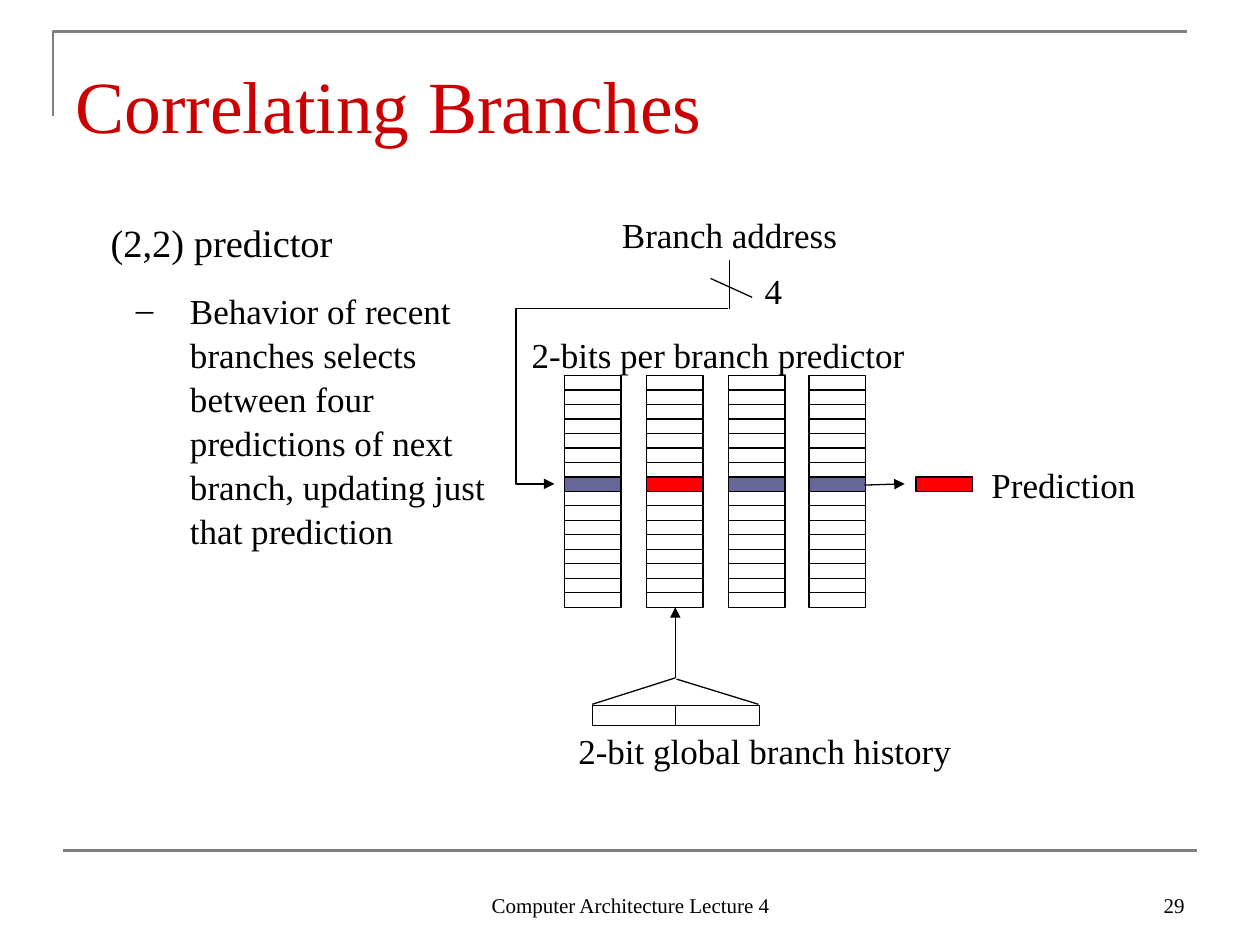
from lxml import etree
from pptx import Presentation
from pptx.dml.color import RGBColor
from pptx.enum import shapes as kinds, text as t
from pptx.oxml.ns import qn
from pptx.util import Inches, Pt

FONT = "Times New Roman"
BLACK, GRAY, RED, BLUE, TITLE_RED = "000000", "808080", "FF0000", "666699", "CC0000"
LEFT, CENTER, RIGHT = t.PP_ALIGN.LEFT, t.PP_ALIGN.CENTER, t.PP_ALIGN.RIGHT
TOP, MIDDLE, BOTTOM = t.MSO_ANCHOR.TOP, t.MSO_ANCHOR.MIDDLE, t.MSO_ANCHOR.BOTTOM

# text, (left, top, width, height), size, alignment, anchor, wrap
LABELS = [
    ("Computer Architecture Lecture 4", (3.42, 6.83, 3.17, 0.5), 12, CENTER, BOTTOM, True),
    ("29", (7.17, 6.83, 2.33, 0.5), 12, RIGHT, BOTTOM, True),
    ("Branch address", (4.64, 1.71, 2.3, 0.31), 20, CENTER, MIDDLE, False),
    ("2-bits per branch predictor", (3.95, 2.65, 3.5, 0.33), 20, CENTER, MIDDLE, False),
    ("Prediction", (7.77, 3.63, 1.48, 0.44), 20, LEFT, TOP, True),
    ("2-bit global branch history", (4.42, 5.78, 3.3, 0.35), 20, CENTER, MIDDLE, False),
    ("4", (5.97, 2.09, 0.37, 0.44), 20, LEFT, TOP, True),
]
TITLE = "Correlating Branches"
HEADING = "(2,2) predictor"
BEHAVIOR = ("Behavior of recent branches selects between four predictions "
            "of next branch, updating just that prediction")

# predictor tables: left edge and colour of the selected row
TABLES = [(4.48, BLUE), (5.13, RED), (5.78, BLUE), (6.42, BLUE)]
TABLE_TOP, TABLE_BOTTOM, ROWS, SELECTED = 2.98, 4.82, 16, 7
ENTRY_WIDTH = 0.45
ENTRY_HEIGHT = (TABLE_BOTTOM - TABLE_TOP) / ROWS

# start, end, arrow
LINES = [
    ((6.86, 3.85), (7.18, 3.84), True),    # to prediction
    ((5.36, 5.38), (5.36, 4.82), True),    # history selects a table
    ((5.79, 2.45), (5.79, 2.06), False),   # address
    ((5.64, 2.21), (5.97, 2.36), False),   # bus width slash
    ((5.37, 5.39), (6.02, 5.59), False),
    ((4.70, 5.59), (5.36, 5.38), False),
    ((5.36, 5.60), (5.36, 5.75), False),   # divider of the history bits
]

prs = Presentation()
prs.slide_width, prs.slide_height = Inches(10), Inches(7.5)
slide = prs.slides.add_slide(prs.slide_layouts[6])


def color(value):
    return RGBColor.from_string(value)


def add_text(paragraph, words, size, fill=BLACK):
    run = paragraph.add_run()
    run.text = words
    run.font.name, run.font.size = FONT, Pt(size)
    run.font.color.rgb = color(fill)


def add_box(place, anchor=TOP, wrap=True):
    frame = slide.shapes.add_textbox(*map(Inches, place)).text_frame
    frame.auto_size = t.MSO_AUTO_SIZE.NONE
    frame.word_wrap, frame.vertical_anchor = wrap, anchor
    return frame


def add_rect(left, top, width, height, fill=None):
    rect = slide.shapes.add_shape(kinds.MSO_SHAPE.RECTANGLE,
                                  *map(Inches, (left, top, width, height)))
    rect.shadow.inherit = False
    if fill:
        rect.fill.solid()
        rect.fill.fore_color.rgb = color(fill)
    else:
        rect.fill.background()
    rect.line.color.rgb, rect.line.width = color(BLACK), Pt(0.75)


def add_line(start, end, arrow=False, stroke=BLACK, width=0.75,
             kind=kinds.MSO_CONNECTOR.STRAIGHT):
    line = slide.shapes.add_connector(kind, *map(Inches, start + end))
    line.line.color.rgb, line.line.width = color(stroke), Pt(width)
    if arrow:
        etree.SubElement(line.line._get_or_add_ln(), qn("a:tailEnd"), type="triangle")
    etree.SubElement(line._element.spPr, qn("a:effectLst"))
    return line


# frame of the slide
builder = slide.shapes.build_freeform(Inches(0.42), Inches(0.92))
builder.add_line_segments([(Inches(x), Inches(y)) for x, y in [(0.42, 0.25), (9.42, 0.25)]],
                          close=False)
corner = builder.convert_to_shape()
corner.shadow.inherit = False
corner.fill.background()
corner.line.color.rgb, corner.line.width = color(GRAY), Pt(1.5)
add_line((0.5, 6.75), (9.5, 6.75), stroke=GRAY, width=1.5)

# title and body
title = add_box((0.5, 0.36, 9, 0.41))
title.margin_top = Inches(0.12)
add_text(title.paragraphs[0], TITLE, 42, TITLE_RED)

body = add_box((0.78, 1.67, 3.33, 2.64))
add_text(body.paragraphs[0], HEADING, 22)
behavior = body.add_paragraph()
props = behavior._p.get_or_add_pPr()
props.set("marL", str(Inches(0.63)))
props.set("indent", str(Inches(-0.43)))
etree.SubElement(props, qn("a:buFont"), typeface=FONT)
etree.SubElement(props, qn("a:buChar"), char="–")
behavior.level = 1
behavior.space_before = Pt(12.5)
add_text(behavior, BEHAVIOR, 20)
for paragraph in body.paragraphs:
    paragraph.line_spacing = 1.05

# diagram
for left, selected_fill in TABLES:
    for row in range(ROWS):
        add_rect(left, TABLE_TOP + row * ENTRY_HEIGHT, ENTRY_WIDTH, ENTRY_HEIGHT,
                 selected_fill if row == SELECTED else None)
add_rect(7.27, TABLE_TOP + SELECTED * ENTRY_HEIGHT, ENTRY_WIDTH, ENTRY_HEIGHT, RED)
add_rect(4.7, 5.6, 1.33, 0.16)

address_path = add_line((5.78, 2.45), (4.4, 3.84), True, kind=kinds.MSO_CONNECTOR.ELBOW)
adjustments = address_path._element.spPr.find(qn("a:prstGeom")).get_or_add_avLst()
etree.SubElement(adjustments, qn("a:gd"), name="adj1", fmla="val 122100")
for start, end, arrow in LINES:
    add_line(start, end, arrow)

for words, place, size, align, anchor, wrap in LABELS:
    label = add_box(place, anchor, wrap).paragraphs[0]
    label.alignment = align
    add_text(label, words, size)

prs.save("out.pptx")
